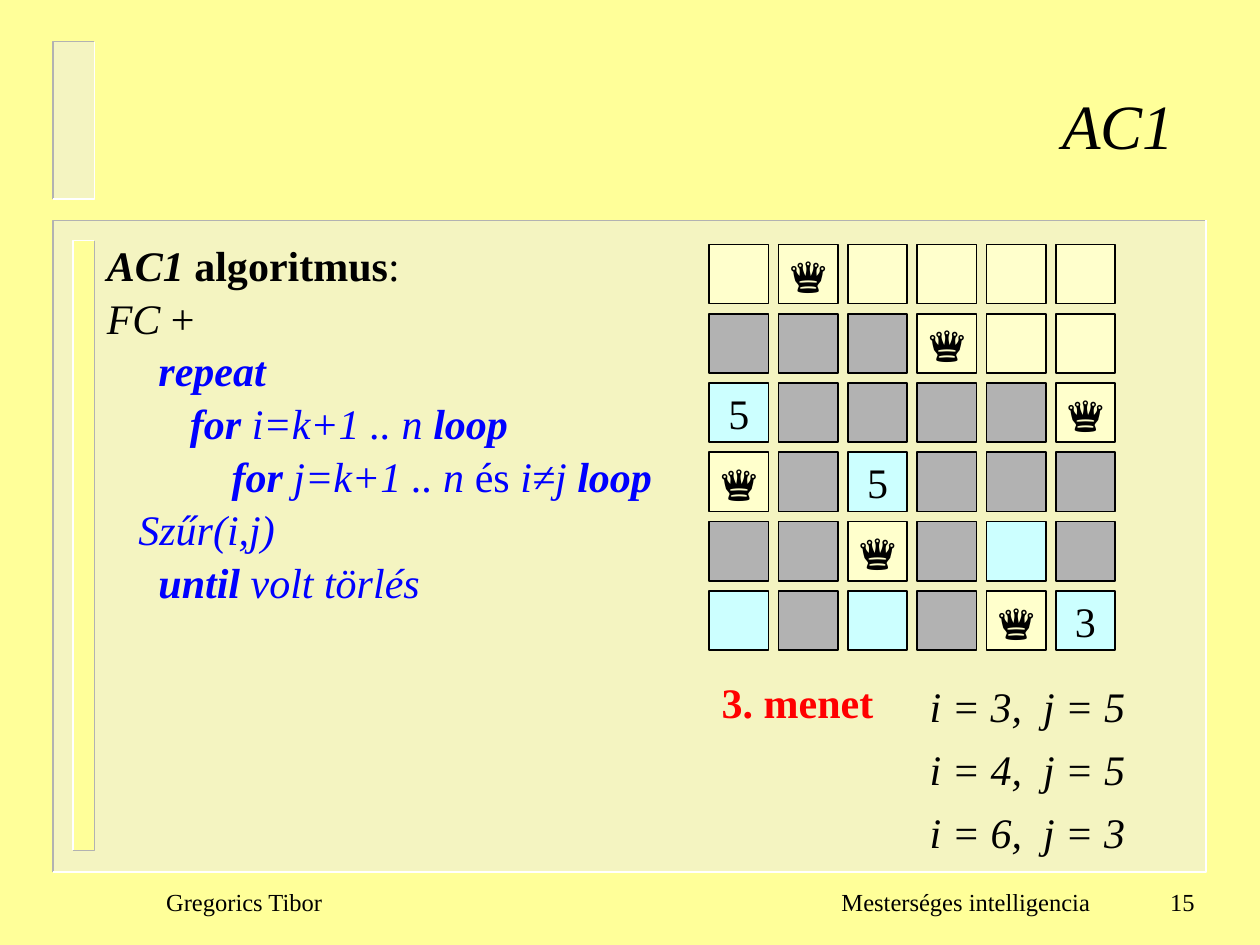
from dataclasses import dataclass

from lxml import etree
from pptx import Presentation
from pptx import util as u
from pptx.dml.color import RGBColor
from pptx.enum import shapes, text
from pptx.oxml import ns


@dataclass(frozen=True)
class Theme:
    font: str = "Times New Roman"
    ground: str = "FFFF99"
    panel: str = "EAEAEA"
    shade: str = "B2B2B2"
    light: str = "FFFFFF"
    ink: str = "000000"
    code: str = "0000FF"
    accent: str = "FF0000"
    free: str = "FFFFCC"
    open: str = "CCFFFF"
    title_size: int = 36
    queen_size: int = 28
    body_size: int = 24
    footer_size: int = 14


class Painter:
    def __init__(self, slide, theme):
        self.slide, self.theme = slide, theme
        slide.background.fill.solid()
        slide.background.fill.fore_color.rgb = RGBColor.from_string(theme.ground)

    def style_run(self, run, size, color, bold=False, italic=False):
        font = run.font
        font.name, font.size = self.theme.font, u.Pt(size)
        font.bold, font.italic = bold, italic
        font.color.rgb = RGBColor.from_string(color)

    def rect(self, x, y, w, h, fill, border=None, alpha=None):
        box = self.slide.shapes.add_shape(
            shapes.MSO_SHAPE.RECTANGLE, *map(u.Inches, (x, y, w, h)))
        box.shadow.inherit = False
        box.fill.solid()
        box.fill.fore_color.rgb = RGBColor.from_string(fill)
        if alpha:
            color = box.fill._xPr.find(".//" + ns.qn("a:srgbClr"))
            etree.SubElement(color, ns.qn("a:alpha")).set("val", str(alpha * 1000))
        if border:
            box.line.color.rgb = RGBColor.from_string(border)
            box.line.width = u.Pt(1)
        else:
            box.line.fill.background()
        return box

    def edge(self, points, color):
        start, *rest = [tuple(map(u.Inches, point)) for point in points]
        builder = self.slide.shapes.build_freeform(*start)
        builder.add_line_segments(rest, close=False)
        line = builder.convert_to_shape()
        line.shadow.inherit = False
        line.fill.background()
        line.line.color.rgb = RGBColor.from_string(color)
        line.line.width = u.Pt(1)

    def bevel(self, x, y, w, h, fill, upper, lower, alpha=None):
        """Rectangle with one colour on its top left and one on its bottom right."""
        self.rect(x, y, w, h, fill, alpha=alpha)
        top_right, bottom_left = (x + w, y), (x, y + h)
        self.edge([top_right, (x, y), bottom_left], upper)
        self.edge([top_right, (x + w, y + h), bottom_left], lower)

    def cell(self, x, y, side, fill, mark="", size=None):
        square = self.rect(x, y, side, side, fill, self.theme.ink)
        if mark:
            frame = square.text_frame
            frame.word_wrap = False
            frame.vertical_anchor = text.MSO_ANCHOR.MIDDLE
            frame.text = mark
            frame.paragraphs[0].alignment = text.PP_ALIGN.CENTER
            self.style_run(frame.paragraphs[0].runs[0], size, self.theme.ink)

    def frame(self, x, y, w, h, wrap=True, anchor=text.MSO_ANCHOR.TOP):
        frame = self.slide.shapes.add_textbox(
            *map(u.Inches, (x, y, w, h))).text_frame
        frame.word_wrap, frame.vertical_anchor = wrap, anchor
        return frame

    def label(self, x, y, w, h, words, size, color, align=text.PP_ALIGN.LEFT,
              anchor=text.MSO_ANCHOR.MIDDLE, wrap=False, **style):
        frame = self.frame(x, y, w, h, wrap, anchor)
        frame.text = words
        frame.paragraphs[0].alignment = align
        self.style_run(frame.paragraphs[0].runs[0], size, color, **style)

    def listing(self, x, y, w, h, lines):
        """Lines of (colour, left margin, first-line indent, [(words, style)])."""
        frame = self.frame(x, y, w, h)
        for number, (color, margin, indent, parts) in enumerate(lines):
            line = frame.add_paragraph() if number else frame.paragraphs[0]
            line.line_spacing = 1.05
            props = line._p.get_or_add_pPr()
            props.set("marL", str(u.Inches(margin)))
            props.set("indent", str(u.Inches(indent)))
            for words, style in parts:
                run = line.add_run()
                run.text = words
                self.style_run(run, self.theme.body_size, color,
                               bold="b" in style, italic="i" in style)


theme = Theme()
deck = Presentation()
deck.slide_width, deck.slide_height = u.Inches(10), u.Inches(7.5)
painter = Painter(deck.slides.add_slide(deck.slide_layouts[6]), theme)

# Bevelled background panels
painter.bevel(0.42, 1.75, 9.15, 5.17, theme.panel, theme.shade, theme.light, alpha=50)
painter.bevel(0.58, 1.91, 0.17, 4.84, theme.ground, theme.light, theme.shade)
painter.bevel(0.42, 0.33, 0.33, 1.25, theme.panel, theme.shade, theme.light, alpha=50)

# Title
painter.label(0.92, 0.38, 8.5, 1.21, "AC1", theme.title_size, theme.ink,
              align=text.PP_ALIGN.RIGHT, wrap=True, italic=True)

# Algorithm
painter.listing(0.75, 1.83, 4.64, 2.93, [
    (theme.ink, 0, 0, [("AC1", "bi"), (" algoritmus", "b"), (":", "")]),
    (theme.ink, 0, 0, [("FC", "i"), (" +", "")]),
    (theme.code, 0, 0.41, [("repeat", "bi")]),
    (theme.code, 0, 0.66, [("for ", "bi"), ("i=k+1 .. n ", "i"), ("loop", "bi")]),
    (theme.code, 0.25, 0.74, [("for ", "bi"), ("j=k+1 .. n", "i"), (" és ", ""),
                              ("i≠j ", "i"), ("loop ", "bi"), ("Szűr(i,j)", "i")]),
    (theme.code, 0, 0.41, [("until", "bi"), (" volt törlés", "i")]),
])

# Chessboard: Q queen, . free, # struck out, o open, digit = striking column
BOARD = [".Q....", "###Q..", "5####Q", "Q#5###", "##Q#o#", "o#o#Q3"]
LEFT, TOP, PITCH, SIDE = 5.63, 1.94, 0.55, 0.47
FILLS = {".": theme.free, "Q": theme.free, "#": theme.shade}
for row, squares in enumerate(BOARD):
    for column, square in enumerate(squares):
        queen = square == "Q"
        mark = "♛" if queen else square if square.isdigit() else ""
        painter.cell(LEFT + column * PITCH, TOP + row * PITCH, SIDE,
                     FILLS.get(square, theme.open), mark,
                     theme.queen_size if queen else theme.body_size)

# Round and its filter steps
painter.label(5.63, 5.32, 1.4, 0.5, "3. menet", theme.body_size, theme.accent,
              anchor=text.MSO_ANCHOR.TOP, bold=True)
for step, (i, j) in enumerate([(3, 5), (4, 5), (6, 3)]):
    painter.label(7.28, 5.35 + step * 0.5, 1.75, 0.5, f"i = {i},  j = {j}",
                  theme.body_size, theme.ink, anchor=text.MSO_ANCHOR.TOP, italic=True)

# Footer
for x, width, words, align in [
        (1.22, 1.5, "Gregorics Tibor", text.PP_ALIGN.LEFT),
        (6.58, 2.18, "Mesterséges intelligencia", text.PP_ALIGN.LEFT),
        (8.88, 0.7, "15", text.PP_ALIGN.RIGHT)]:
    painter.label(x, 6.91, width, 0.5, words, theme.footer_size, theme.ink, align)

deck.save("out.pptx")
